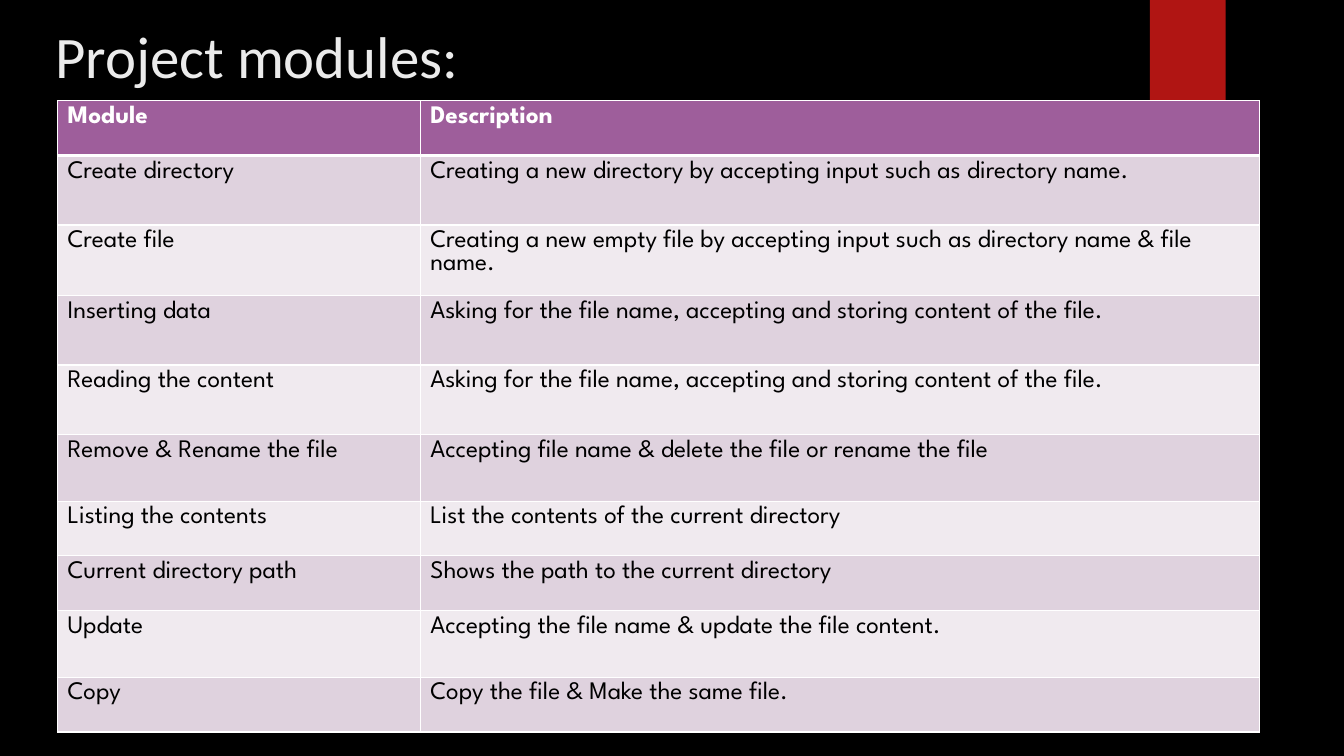
from lxml.etree import SubElement as Sub
from pptx import Presentation as Deck
from pptx.dml.color import RGBColor as Rgb
from pptx.enum.shapes import MSO_SHAPE as Kind
from pptx.oxml.ns import qn
from pptx.util import Cm, Pt

HUES = {"back": "000000", "tab": "B01513", "title": "EBEBEB", "head": "9E5E9B",
        "odd": "DFD2DE", "even": "F0EAEF", "line": "FFFFFF", "ink": "000000"}
TITLE = {"name": "Calibri", "size": Pt(42), "bold": False}
HEAD = {"name": "League Spartan", "size": Pt(18), "bold": True}
BODY = {**HEAD, "bold": False}
COLS = [9.14, 21.16]
ROWS = [
    (1.38, "Module", "Description"),
    (1.75, "Create directory",
     "Creating a new directory by accepting input such as directory name."),
    (1.75, "Create file",
     "Creating a new empty file by accepting input such as directory name & file name."),
    (1.75, "Inserting data",
     "Asking for the file name, accepting and storing content of the file."),
    (1.75, "Reading the content",
     "Asking for the file name, accepting and storing content of the file."),
    (1.68, "Remove & Rename the file",
     "Accepting file name & delete the file or rename the file"),
    (1.38, "Listing the contents", "List the contents of the current directory"),
    (1.38, "Current directory path", "Shows the path to the current directory"),
    (1.68, "Update", "Accepting the file name & update the file content."),
    (1.38, "Copy", "Copy the file & Make the same file."),
]


def paint(fill, hue):
    """Fill with one solid named colour."""
    fill.solid()
    fill.fore_color.rgb = Rgb.from_string(HUES[hue])


def write(frame, text, style, hue):
    """Put styled text into a text frame."""
    run = frame.paragraphs[0].add_run()
    run.text = text
    for key, value in style.items():
        setattr(run.font, key, value)
    run.font.color.rgb = Rgb.from_string(HUES[hue])


def edge(cell, sides):
    """Draw the cell borders, given as side and width in points."""
    props = cell._tc.get_or_add_tcPr()
    for side, width in sides.items():
        line = Sub(props, qn(f"a:ln{side}"), w=str(Pt(width)))
        solid = Sub(line, qn("a:solidFill"))
        Sub(solid, qn("a:srgbClr"), val=HUES["line"])


def add_tab(slide, box):
    """Add the red tab at the top edge."""
    tab = slide.shapes.add_shape(Kind.RECTANGLE, *map(Cm, box))
    tab.shadow.inherit = False
    paint(tab.fill, "tab")
    tab.line.fill.background()


def add_title(slide, box):
    """Add the slide title."""
    frame = slide.shapes.add_textbox(*map(Cm, box)).text_frame
    frame.word_wrap = True
    write(frame, "Project modules:", TITLE, "title")


def add_grid(slide, box):
    """Add the table of modules."""
    grid = slide.shapes.add_table(len(ROWS), len(COLS), *map(Cm, box)).table
    for col, width in zip(grid.columns, COLS):
        col.width = Cm(width)
    for i, (height, *texts) in enumerate(ROWS):
        grid.rows[i].height = Cm(height)
        style, ink = (BODY, "ink") if i else (HEAD, "line")
        hue = ("odd" if i % 2 else "even") if i else "head"
        sides = {"L": 1, "R": 1, "T": 3 if i == 1 else 1, "B": 1 if i else 3}
        for j, text in enumerate(texts):
            cell = grid.cell(i, j)
            edge(cell, sides)
            paint(cell.fill, hue)
            write(cell.text_frame, text, style, ink)


def main():
    """Build and save the slide."""
    deck = Deck()
    deck.slide_width, deck.slide_height = Cm(33.87), Cm(19.05)
    slide = deck.slides.add_slide(deck.slide_layouts[6])
    paint(slide.background.fill, "back")
    add_tab(slide, (28.98, 0, 1.91, 3.18))
    add_title(slide, (1.14, 0.38, 26.14, 3.89))
    add_grid(slide, (1.45, 2.54, sum(COLS), sum(row[0] for row in ROWS)))
    deck.save("out.pptx")


if __name__ == "__main__":
    main()
